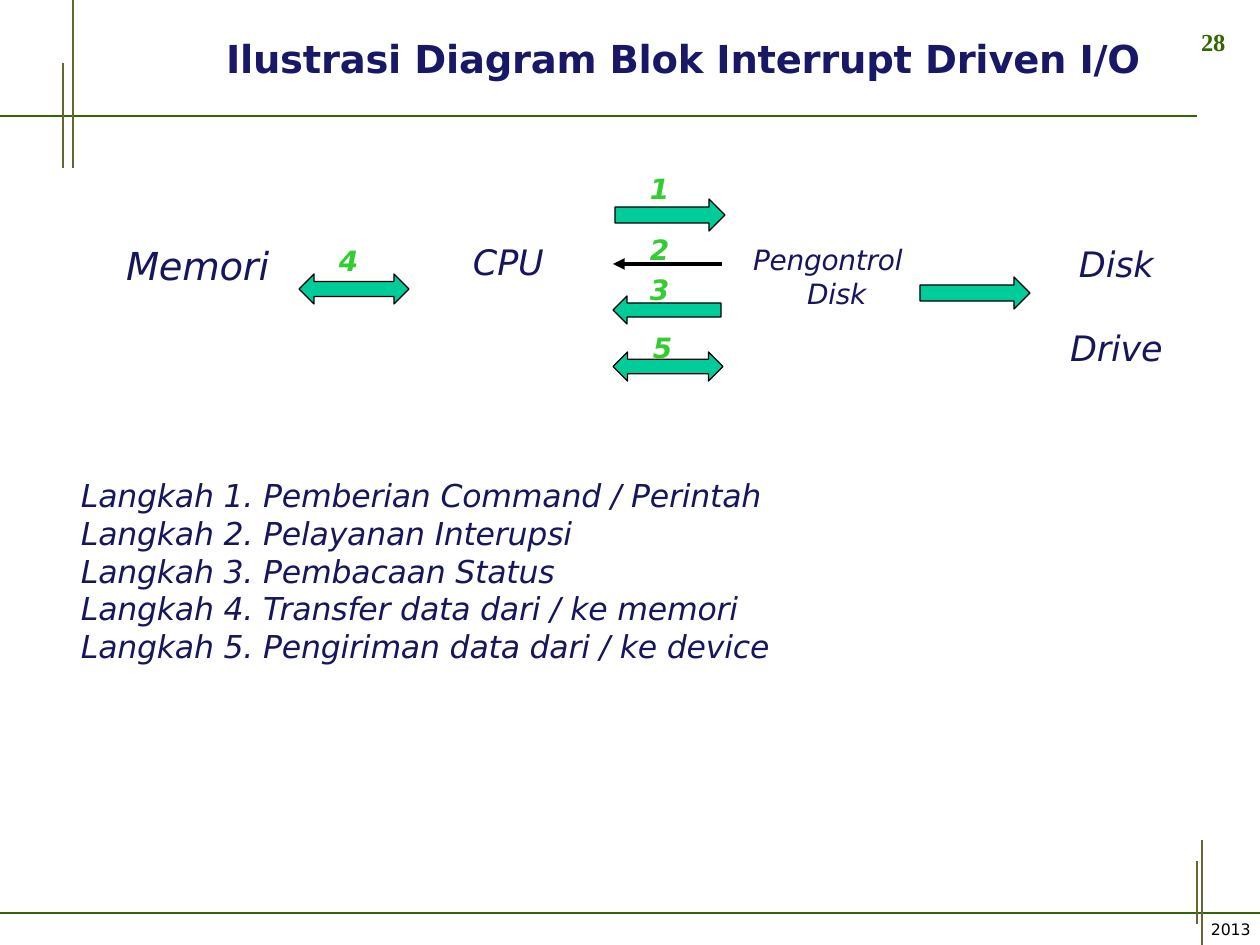
from lxml import etree
from pptx import Presentation
from pptx import util as u
from pptx.dml.color import RGBColor
from pptx.enum import shapes, text
from pptx.oxml.ns import qn

COLORS = {
    "rule": "336600", "accent": "666633", "title": "181866", "body": "16165D",
    "step": "33CC33", "arrow": "00CC99", "black": "000000",
}
ARROWS = {
    "right": shapes.MSO_SHAPE.RIGHT_ARROW,
    "left": shapes.MSO_SHAPE.LEFT_ARROW,
    "both": shapes.MSO_SHAPE.LEFT_RIGHT_ARROW,
}


def px(n):
    return u.Emu(round(n * 914400 / 126))


def rgb(name):
    return RGBColor.from_string(COLORS[name])


class Deck:
    font = "DejaVu Sans"
    spacing = "-10"

    def __init__(self, width, height):
        self.prs = Presentation()
        self.prs.slide_width, self.prs.slide_height = px(width), px(height)
        self.s = self.prs.slides.add_slide(self.prs.slide_layouts[6])

    def line(self, x1, y1, x2, y2, color, width, head=False):
        c = self.s.shapes.add_connector(
            shapes.MSO_CONNECTOR.STRAIGHT, px(x1), px(y1), px(x2), px(y2))
        c.line.color.rgb = rgb(color)
        c.line.width = u.Pt(width)
        if head:
            etree.SubElement(c.line._get_or_add_ln(), qn("a:tailEnd"), type="triangle")
        etree.SubElement(c._element.spPr, qn("a:effectLst"))

    def arrow(self, kind, x, y, w, h):
        sp = self.s.shapes.add_shape(ARROWS[kind], px(x), px(y), px(w), px(h))
        sp.shadow.inherit = False
        sp.fill.solid()
        sp.fill.fore_color.rgb = rgb("arrow")
        sp.line.color.rgb = rgb("black")
        sp.line.width = u.Pt(0.72)

    def text(self, x, y, w, h, lines, color, **fmt):
        tf = self.s.shapes.add_textbox(px(x), px(y), px(w), px(h)).text_frame
        frame = {"word_wrap": True, "vertical_anchor": text.MSO_ANCHOR.TOP,
                 "margin_left": 0, "margin_top": 0, "margin_right": 0, "margin_bottom": 0}
        for name, value in frame.items():
            setattr(tf, name, value)
        for i, (words, indent, before) in enumerate(lines):
            p = tf.paragraphs[0] if i == 0 else tf.add_paragraph()
            p._p.get_or_add_pPr().set("marL", str(px(indent)))
            if before:
                p.space_before = u.Pt(before)
            r = p.add_run()
            r.text = words
            r.font.color.rgb = rgb(color)
            for name, value in {"name": self.font, **fmt}.items():
                setattr(r.font, name, value)
            r._r.get_or_add_rPr().set("spc", self.spacing)


def main():
    d = Deck(1260, 945)

    for ends in [(0, 116, 1197, 116), (1260, 913, 0, 913)]:
        d.line(*ends, "rule", 1.56)
    for ends in [(73, 0, 73, 168), (63, 63, 63, 168),
                 (1197, 924, 1197, 861), (1202, 945, 1202, 840)]:
        d.line(*ends, "accent", 0.96)

    d.text(1201, 27, 30, 32, [("28", 0, 0)], "rule",
           name="Times New Roman", size=u.Pt(14), bold=True)
    d.text(226, 35, 954, 48, [("Ilustrasi Diagram Blok Interrupt Driven I/O", 0, 0)],
           "title", size=u.Pt(22), bold=True)

    steps = ["Pemberian Command / Perintah", "Pelayanan Interupsi", "Pembacaan Status",
             "Transfer data dari / ke memori", "Pengiriman data dari / ke device"]
    d.text(81, 476, 720, 192,
           [(f"Langkah {n}. {step}", 0, 0) for n, step in enumerate(steps, 1)],
           "body", size=u.Pt(18), italic=True)

    blocks = [
        (126, 242, 22, [("Memori", 0, 0)]),
        (473, 241, 20, [("CPU", 0, 0)]),
        (753, 243, 16, [("Pengontrol", 0, 0), ("Disk", 54, 0)]),
        (1070, 243, 20, [("Disk", 9, 0), ("Drive", 0, 23.6)]),
    ]
    for x, y, size, lines in blocks:
        d.text(x, y, 170, 102, lines, "body", size=u.Pt(size), italic=True)

    for kind, x, y, w, h in [
        ("both", 299, 274, 110, 30), ("both", 613, 352, 110, 29),
        ("right", 615, 199, 110, 32), ("left", 613, 296, 108, 28),
        ("right", 920, 277, 110, 32),
    ]:
        d.arrow(kind, x, y, w, h)
    d.line(722, 264, 613, 264, "black", 2.25, head=True)

    for x, y, h, lines in [
        (339, 244, 36, [("4", 0, 0)]),
        (650, 172, 36, [("1", 0, 0)]),
        (650, 233, 140, [("2", 0, 0), ("3", 0, 3.4), ("5", 3, 13.8)]),
    ]:
        d.text(x, y, 28, h, lines, "step", size=u.Pt(16), bold=True, italic=True)

    d.text(1211, 920, 46, 22, [("2013", 0, 0)], "black", size=u.Pt(9))
    d.prs.save("out.pptx")


if __name__ == "__main__":
    main()
